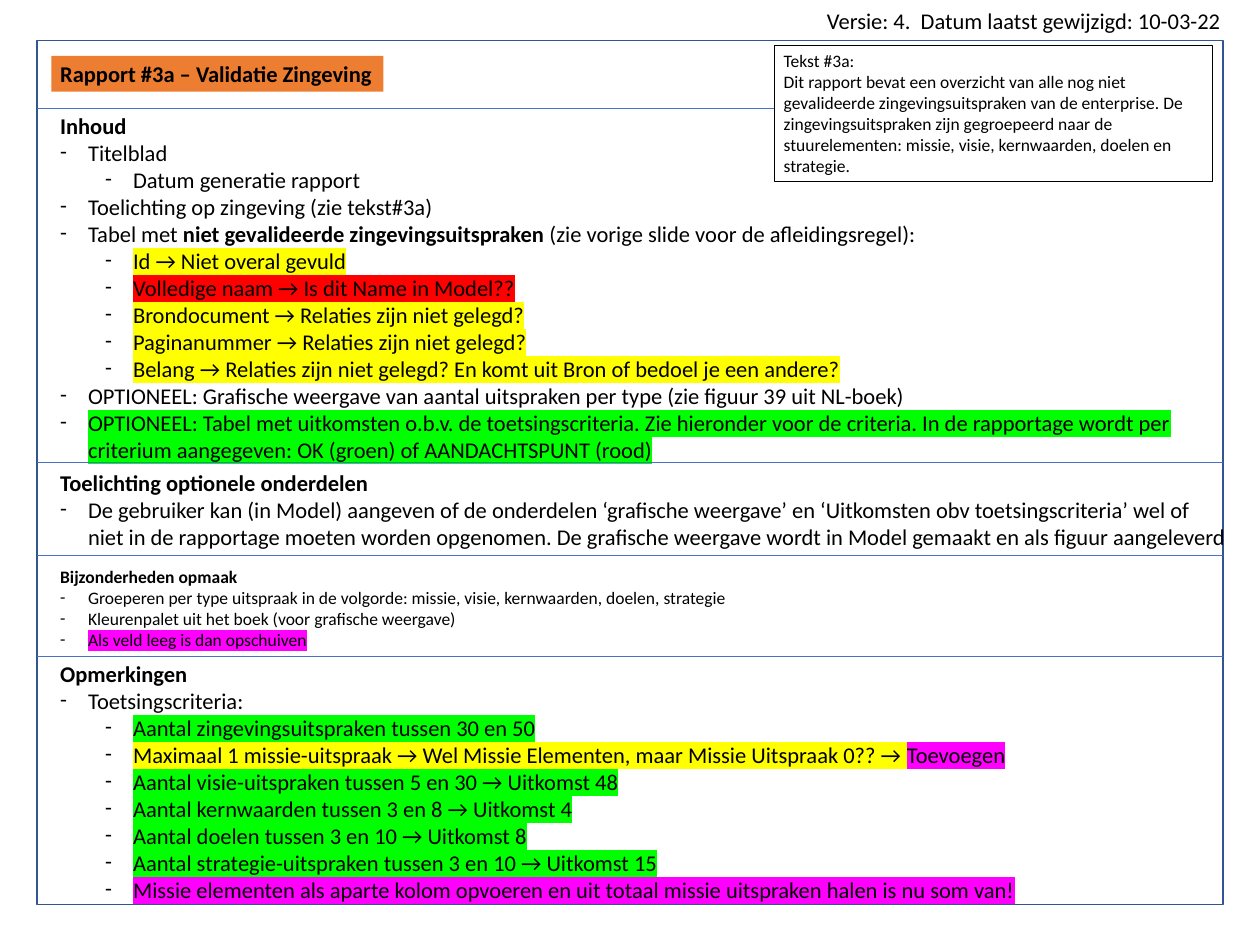
from lxml import etree
from pptx import Presentation
from pptx.dml.color import RGBColor
from pptx.enum.shapes import MSO_CONNECTOR, MSO_SHAPE
from pptx.enum.text import MSO_ANCHOR, MSO_AUTO_SIZE, PP_ALIGN
from pptx.oxml.ns import qn
from pptx.util import Inches, Pt

RECTANGLE = MSO_SHAPE.RECTANGLE
STRAIGHT = MSO_CONNECTOR.STRAIGHT
TOP = MSO_ANCHOR.TOP
GROW = MSO_AUTO_SIZE.SHAPE_TO_FIT_TEXT
LEFT = PP_ALIGN.LEFT

FONT = "Calibri"
BLACK, BLUE, NAVY, ORANGE = "000000", "4472C4", "325491", "ED7D31"
YELLOW, RED, GREEN, MAGENTA = "FFFF00", "FF0000", "00FF00", "FF00FF"
HEAD, PLAIN, ITEM, SUB = "head", "plain", "item", "sub"
INDENTS = {ITEM: (0, 0.31), SUB: (1, 0.81)}
HANGING = 0.31
FRAME_LEFT, FRAME_RIGHT, TEXT_LEFT = 0.41, 13.59, 0.57

TITLE = [(HEAD, "Rapport #3a – Validatie Zingeving")]
VERSION = [(PLAIN, "Versie: 4.  Datum laatst gewijzigd: 10-03-22")]
EXPLANATION = [
    (PLAIN, "Tekst #3a:"),
    (PLAIN, "Dit rapport bevat een overzicht van alle nog niet gevalideerde "
            "zingevingsuitspraken van de enterprise. De zingevingsuitspraken zijn "
            "gegroepeerd naar de stuurelementen: missie, visie, kernwaarden, doelen en "
            "strategie."),
]
CONTENTS = [
    (HEAD, "Inhoud"),
    (ITEM, "Titelblad"),
    (SUB, "Datum generatie rapport"),
    (ITEM, "Toelichting op zingeving (zie tekst#3a)"),
    (ITEM, "Tabel met ", ("niet gevalideerde zingevingsuitspraken ", None, True),
     "(zie vorige slide voor de afleidingsregel):"),
    (SUB, ("Id → Niet overal gevuld", YELLOW)),
    (SUB, ("Volledige naam → Is dit Name in Model??", RED)),
    (SUB, ("Brondocument → Relaties zijn niet gelegd?", YELLOW)),
    (SUB, ("Paginanummer → Relaties zijn niet gelegd?", YELLOW)),
    (SUB, ("Belang → Relaties zijn niet gelegd? En komt uit Bron of bedoel je een "
           "andere?", YELLOW)),
    (ITEM, "OPTIONEEL: Grafische weergave van aantal uitspraken per type (zie figuur 39 "
           "uit NL-boek)"),
    (ITEM, ("OPTIONEEL: Tabel met uitkomsten o.b.v. de toetsingscriteria. Zie hieronder "
            "voor de criteria. In de rapportage wordt per criterium aangegeven: OK "
            "(groen) of AANDACHTSPUNT (rood)", GREEN)),
]
OPTIONAL_PARTS = [
    (HEAD, "Toelichting optionele onderdelen"),
    (ITEM, "De gebruiker kan (in Model) aangeven of de onderdelen ‘grafische weergave’ en "
           "‘Uitkomsten obv toetsingscriteria’ wel of niet in de rapportage moeten worden "
           "opgenomen. De grafische weergave wordt in Model gemaakt en als figuur "
           "aangeleverd"),
]
LAYOUT_NOTES = [
    (HEAD, "Bijzonderheden opmaak"),
    (ITEM, "Groeperen per type uitspraak in de volgorde: missie, visie, kernwaarden, "
           "doelen, strategie"),
    (ITEM, "Kleurenpalet uit het boek (voor grafische weergave)"),
    (ITEM, ("Als veld leeg is dan opschuiven", MAGENTA)),
]
REMARKS = [
    (HEAD, "Opmerkingen"),
    (ITEM, "Toetsingscriteria:"),
    (SUB, ("Aantal zingevingsuitspraken tussen 30 en 50", GREEN)),
    (SUB, ("Maximaal 1 missie-uitspraak → Wel Missie Elementen, maar Missie Uitspraak "
           "0?? → ", YELLOW), ("Toevoegen", MAGENTA)),
    (SUB, ("Aantal visie-uitspraken tussen 5 en 30 → Uitkomst 48", GREEN)),
    (SUB, ("Aantal kernwaarden tussen 3 en 8 → Uitkomst 4", GREEN)),
    (SUB, ("Aantal doelen tussen 3 en 10 → Uitkomst 8", GREEN)),
    (SUB, ("Aantal strategie-uitspraken tussen 3 en 10 → Uitkomst 15", GREEN)),
    (SUB, ("Missie elementen als aparte kolom opvoeren en uit totaal missie uitspraken "
           "halen is nu som van!", MAGENTA)),
]


def color(value):
    """Turn a hex string into a colour."""
    return RGBColor.from_string(value)


def set_values(target, values):
    """Set every attribute named in a dict."""
    for name, value in values.items():
        setattr(target, name, value)


def add_highlight(span, value):
    """Mark a span with a background colour."""
    fill = span.font._element.find(qn("a:solidFill"))
    highlight = etree.Element(qn("a:highlight"))
    etree.SubElement(highlight, qn("a:srgbClr"), val=value)
    fill.addnext(highlight)


def add_span(para, text, size, bold, highlight=None):
    """Add a formatted span to a paragraph."""
    span = para.add_run()
    span.text = text
    span.font.color.rgb = color(BLACK)
    set_values(span.font, {"name": FONT, "size": Pt(size), "bold": bold})
    if highlight:
        add_highlight(span, highlight)


def add_bullet(para, kind):
    """Give a paragraph a hanging dash at the indent of its kind."""
    level, indent = INDENTS[kind]
    para.level = level
    properties = para._p.get_or_add_pPr()
    properties.set("marL", str(Inches(indent)))
    properties.set("indent", str(-Inches(HANGING)))
    etree.SubElement(properties, qn("a:buFont"), typeface=FONT)
    etree.SubElement(properties, qn("a:buChar"), char="-")


def write_text(box, paragraphs, size, wrap):
    """Fill a box with paragraphs."""
    frame = box.text_frame
    set_values(frame, {"word_wrap": wrap, "auto_size": GROW, "vertical_anchor": TOP})
    for index, (kind, *spans) in enumerate(paragraphs):
        para = frame.add_paragraph() if index else frame.paragraphs[0]
        para.alignment = LEFT
        if kind in INDENTS:
            add_bullet(para, kind)
        for item in spans:
            parts = (item,) if isinstance(item, str) else item
            text, highlight, bold = (*parts, None, kind == HEAD)[:3] if len(parts) == 1 \
                else (*parts, False)[:3]
            add_span(para, text, size, bold, highlight)


def add_text(page, place, paragraphs, size=18, wrap=True):
    """Add a text box."""
    box = page.shapes.add_textbox(*map(Inches, place))
    write_text(box, paragraphs, size, wrap)


def add_rectangle(page, place, fill=None, line=None, width=1):
    """Add a rectangle with an optional fill and outline."""
    box = page.shapes.add_shape(RECTANGLE, *map(Inches, place))
    box.shadow.inherit = False
    if fill:
        box.fill.solid()
        box.fill.fore_color.rgb = color(fill)
    else:
        box.fill.background()
    if line:
        box.line.color.rgb = color(line)
        box.line.width = Pt(width)
    else:
        box.line.fill.background()
    return box


def add_divider(page, top, right=FRAME_RIGHT):
    """Add a horizontal line from the left side of the frame."""
    ends = map(Inches, (FRAME_LEFT, top, right, top))
    divider = page.shapes.add_connector(STRAIGHT, *ends)
    divider.line.color.rgb = color(BLUE)
    divider.line.width = Pt(0.5)
    etree.SubElement(divider._element.spPr, qn("a:effectLst"))


def main():
    """Build and save the slide."""
    deck = Presentation()
    set_values(deck, {"slide_width": Inches(14), "slide_height": Inches(10.5)})
    page = deck.slides.add_slide(deck.slide_layouts[6])

    add_rectangle(page, (FRAME_LEFT, 0.45, FRAME_RIGHT - FRAME_LEFT, 9.6), line=NAVY)
    title = add_rectangle(page, (TEXT_LEFT, 0.62, 3.69, 0.4), fill=ORANGE)
    write_text(title, TITLE, 18, False)
    add_divider(page, 1.2, right=8.61)
    add_text(page, (TEXT_LEFT, 1.19, 12.91, 4.34), CONTENTS)
    add_divider(page, 5.14)
    add_text(page, (TEXT_LEFT, 6.24, 7.68, 1.04), LAYOUT_NOTES, size=14, wrap=False)
    add_divider(page, 7.29)
    add_text(page, (TEXT_LEFT, 7.28, 12.58, 2.8), REMARKS)
    add_text(page, (9.09, 0.03, 4.62, 0.4), VERSION, wrap=False)
    explanation = add_rectangle(page, (8.61, 0.51, 4.86, 1.51), line=BLACK, width=0.75)
    write_text(explanation, EXPLANATION, 14, True)
    add_text(page, (TEXT_LEFT, 5.16, 13.15, 1.01), OPTIONAL_PARTS)
    add_divider(page, 6.17)

    deck.save("out.pptx")


if __name__ == "__main__":
    main()
